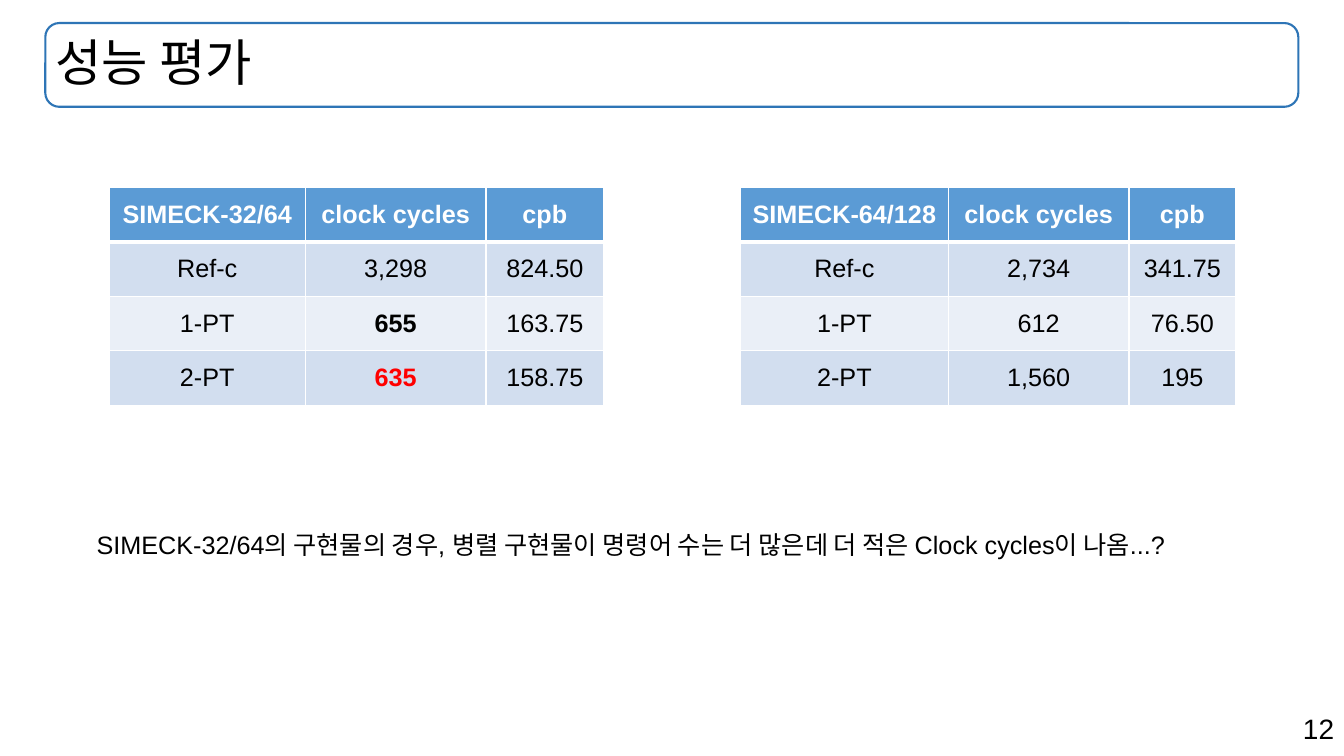
import pptx
import pptx.util
import pptx.oxml
import pptx.oxml.ns
import pptx.dml.color
import pptx.enum.shapes
import pptx.enum.text

Pt = pptx.util.Pt
RGB = pptx.dml.color.RGBColor
ALIGN = pptx.enum.text.PP_ALIGN
ANCHOR = pptx.enum.text.MSO_ANCHOR
FIT = pptx.enum.text.MSO_AUTO_SIZE

BLACK = RGB(0x00, 0x00, 0x00)
WHITE = RGB(0xFF, 0xFF, 0xFF)
RED = RGB(0xFF, 0x00, 0x00)
FRAME = RGB(0x2E, 0x75, 0xB6)
HEAD = RGB(0x5B, 0x9B, 0xD5)
BANDS = (RGB(0xEA, 0xEF, 0xF7), RGB(0xD2, 0xDE, 0xEF))

TITLE_AREA = (Pt(32.4), Pt(16.5), Pt(895), Pt(59.8))
ROW_H = Pt(38.9)
TABLE_TOP = Pt(133.9)

SMALL = [
    ("SIMECK-32/64", "clock cycles", "cpb"),
    ("Ref-c", "3,298", "824.50"),
    ("1-PT", "655", "163.75"),
    ("2-PT", "635", "158.75"),
]
LARGE = [
    ("SIMECK-64/128", "clock cycles", "cpb"),
    ("Ref-c", "2,734", "341.75"),
    ("1-PT", "612", "76.50"),
    ("2-PT", "1,560", "195"),
]
MARKS = {"655": {"bold": True}, "635": {"bold": True, "color": RED}}
NOTE = ("SIMECK-32/64의 구현물의 경우, 병렬 구현물이 명령어 수는 더 많은데 "
        "더 적은 Clock cycles이 나옴...?")


def write(frame, text, align=ALIGN.LEFT, color=BLACK, **form):
    frame.text = text
    para = frame.paragraphs[0]
    para.alignment = align
    font = para.runs[0].font
    for key, value in {"name": "Arial", "size": Pt(18), "bold": False, **form}.items():
        setattr(font, key, value)
    font.color.rgb = color
    return para


def add_title(slide, text):
    """Fill the title and put its rounded frame behind it."""
    shapes = slide.shapes
    frame = shapes.add_shape(pptx.enum.shapes.MSO_SHAPE.ROUNDED_RECTANGLE, *TITLE_AREA)
    frame.shadow.inherit = False
    frame.fill.background()
    frame.line.color.rgb = FRAME
    frame.line.width = Pt(1.5)
    title = shapes.title
    title._element.addprevious(frame._element)
    title.left, title.top, title.width, title.height = TITLE_AREA
    body = title.text_frame
    body.auto_size = FIT.NONE
    body.vertical_anchor = ANCHOR.MIDDLE
    write(body, text, size=Pt(36)).line_spacing = 0.9


def add_text(slide, area, text, wrap, **form):
    body = slide.shapes.add_textbox(*map(Pt, area)).text_frame
    body.word_wrap = wrap
    body.auto_size = FIT.SHAPE_TO_FIT_TEXT
    write(body, text, **form)


def add_edge(cell, side, width):
    ns = pptx.oxml.ns.nsdecls("a")
    cell._tc.get_or_add_tcPr().append(pptx.oxml.parse_xml(
        f'<a:ln{side} {ns} w="{Pt(width)}"><a:solidFill>'
        f'<a:srgbClr val="{WHITE}"/></a:solidFill></a:ln{side}>'))


def add_grid(slide, left, widths, rows):
    table = slide.shapes.add_table(
        len(rows), len(widths), Pt(left), TABLE_TOP,
        Pt(sum(widths)), ROW_H * len(rows)).table
    for col, width in zip(table.columns, widths):
        col.width = Pt(width)
    for r, row in enumerate(rows):
        table.rows[r].height = ROW_H
        for c, text in enumerate(row):
            cell = table.cell(r, c)
            for side in "LRTB":
                thick = (r, side) in ((0, "B"), (1, "T"))
                add_edge(cell, side, 3 if thick else 1)
            cell.fill.solid()
            cell.fill.fore_color.rgb = BANDS[r % 2] if r else HEAD
            cell.vertical_anchor = ANCHOR.MIDDLE
            form = MARKS.get(text, {}) if r else {"bold": True, "color": WHITE}
            write(cell.text_frame, text, align=ALIGN.CENTER, **form)


def main():
    deck = pptx.Presentation()
    deck.slide_width, deck.slide_height = Pt(960), Pt(540)
    slide = deck.slides.add_slide(deck.slide_layouts.get_by_name("Title Only"))
    add_title(slide, "성능 평가")
    add_grid(slide, 77.8, (140.4, 128.9, 84.2), SMALL)
    add_grid(slide, 528.8, (148.7, 128.9, 76.3), LARGE)
    add_text(slide, (61.9, 374.4, 836.6, 28.8), NOTE, False)
    add_text(slide, (679, 504.7, 281, 31.7), "12", True, align=ALIGN.RIGHT, size=Pt(20))
    deck.save("out.pptx")


if __name__ == "__main__":
    main()
